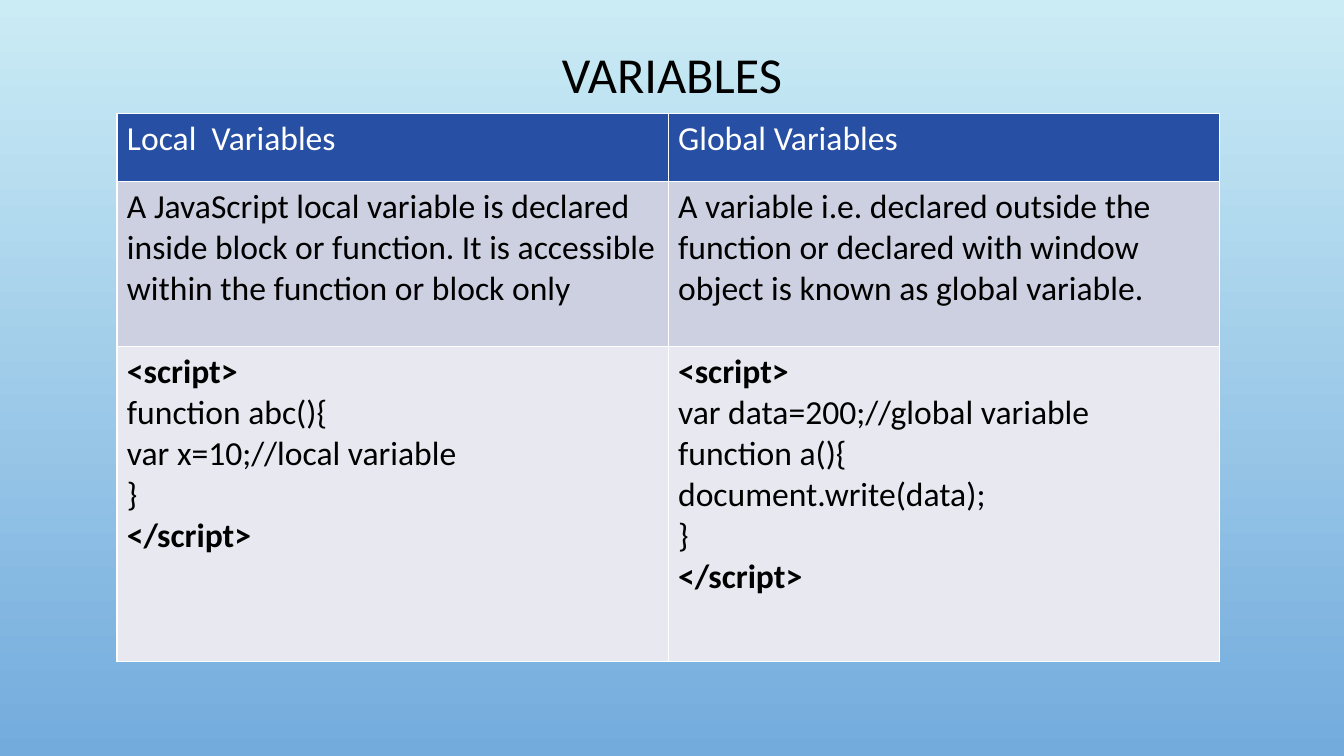
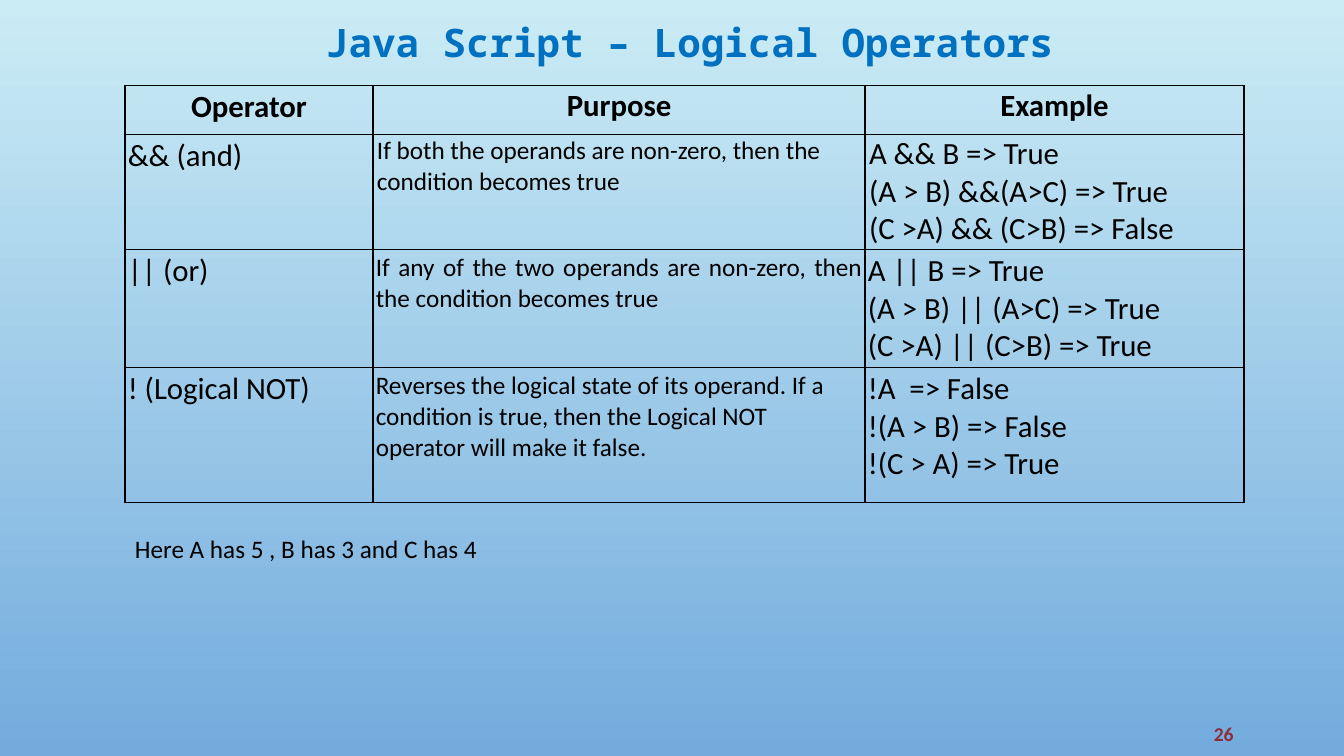
from dataclasses import dataclass, replace
from typing import NamedTuple, Optional

from lxml.etree import SubElement
from pptx import Presentation
from pptx.dml.color import RGBColor
from pptx.enum.text import MSO_ANCHOR as Anchor, MSO_AUTO_SIZE as AutoSize, PP_ALIGN as Align
from pptx.oxml.ns import qn
from pptx.util import Cm, Pt


class TextStyle(NamedTuple):
    size: int
    color: str = "000000"
    bold: bool = False
    font: str = "Calibri"


@dataclass(frozen=True)
class Theme:
    sky_top: str = "CBECF5"
    sky_bottom: str = "73ABDD"
    header_fill: str = "274FA4"
    dark_band: str = "CDD0E0"
    light_band: str = "E8E9F0"
    white_line: str = "FFFFFF"
    black_line: str = "000000"
    line_width: int = 1
    title: TextStyle = TextStyle(36)
    code_title: TextStyle = TextStyle(28, "0070C0", True, "Noto Sans Mono")
    header: TextStyle = TextStyle(24, "FFFFFF")
    body: TextStyle = TextStyle(24)
    operator: TextStyle = TextStyle(22)
    note: TextStyle = TextStyle(18)
    page_number: TextStyle = TextStyle(14, "8B2F3D", True)


THEME = Theme()


class Box(NamedTuple):
    """Left, top, width and height in centimetres."""
    left: float
    top: float
    width: float
    height: float

    def lengths(self) -> list:
        return [Cm(value) for value in self]


class Margins(NamedTuple):
    side: float
    end: float


STANDARD = Margins(0.25, 0.13)
EVEN = Margins(0.07, 0.07)
WIDE = Margins(0.1, 0.04)


class Line(NamedTuple):
    text: str
    style: TextStyle


@dataclass(frozen=True)
class CellContent:
    lines: list
    fill: Optional[str] = None
    align: Align = Align.LEFT
    margins: Margins = STANDARD


@dataclass(frozen=True)
class Grid:
    left: float
    top: float
    columns: list
    rows: list
    line_color: str


def styled(style: TextStyle, *texts: str) -> list:
    return [Line(text, style) for text in texts]


def write_lines(frame, lines: list, align: Align) -> None:
    for index, line in enumerate(lines):
        paragraph = frame.paragraphs[0] if index == 0 else frame.add_paragraph()
        paragraph.alignment = align
        run = paragraph.add_run()
        run.text = line.text
        run.font.name = line.style.font
        run.font.size = Pt(line.style.size)
        run.font.bold = line.style.bold
        run.font.color.rgb = RGBColor.from_string(line.style.color)


def add_slide(presentation, title: str, style: TextStyle, box: Box, spacing: float):
    """Add a title-only slide and format its title."""
    slide = presentation.slides.add_slide(presentation.slide_layouts[5])
    shape = slide.shapes.title
    shape.left, shape.top, shape.width, shape.height = box.lengths()
    frame = shape.text_frame
    frame.auto_size = AutoSize.NONE
    frame.vertical_anchor = Anchor.MIDDLE
    write_lines(frame, styled(style, title), Align.CENTER)
    frame.paragraphs[0].line_spacing = spacing
    return slide


def add_text(slide, text: str, style: TextStyle, box: Box, align: Align = Align.LEFT,
             anchor: Anchor = Anchor.TOP) -> None:
    frame = slide.shapes.add_textbox(*box.lengths()).text_frame
    frame.word_wrap = True
    frame.vertical_anchor = anchor
    write_lines(frame, styled(style, text), align)


def set_borders(cell, color: str) -> None:
    properties = cell._tc.get_or_add_tcPr()
    for side in ("a:lnL", "a:lnR", "a:lnT", "a:lnB"):
        line = SubElement(properties, qn(side), w=str(Pt(THEME.line_width)))
        SubElement(SubElement(line, qn("a:solidFill")), qn("a:srgbClr"), val=color)


def fill_cell(cell, content: CellContent, line_color: str) -> None:
    set_borders(cell, line_color)
    if content.fill:
        cell.fill.solid()
        cell.fill.fore_color.rgb = RGBColor.from_string(content.fill)
    else:
        cell.fill.background()
    cell.margin_left = cell.margin_right = Cm(content.margins.side)
    cell.margin_top = cell.margin_bottom = Cm(content.margins.end)
    write_lines(cell.text_frame, content.lines, content.align)


def add_grid(slide, grid: Grid, contents: list) -> None:
    box = Box(grid.left, grid.top, sum(grid.columns), sum(grid.rows))
    table = slide.shapes.add_table(len(grid.rows), len(grid.columns), *box.lengths()).table
    table.horz_banding = False
    for column, width in zip(table.columns, grid.columns):
        column.width = Cm(width)
    for row, height, row_contents in zip(table.rows, grid.rows, contents):
        row.height = Cm(height)
        for cell, content in zip(row.cells, row_contents):
            fill_cell(cell, content, grid.line_color)


def script_lines(*statements: str) -> list:
    """Wrap the statements in bold script tags."""
    tag = THEME.body._replace(bold=True)
    return [Line("<script>", tag), *styled(THEME.body, *statements), Line("</script>", tag)]


def build_variables_slide(presentation) -> None:
    slide = add_slide(presentation, "VARIABLES", THEME.title, Box(2.33, 1.02, 29.21, 1.85), 0.9)
    headings = ["Local  Variables", "Global Variables"]
    definitions = [
        "A JavaScript local variable is declared inside block or function. "
        "It is accessible within the function or block only",
        "A variable i.e. declared outside the function or declared with window "
        "object is known as global variable.",
    ]
    scripts = [
        script_lines("function abc(){", "var x=10;//local variable", "}"),
        script_lines("var data=200;//global variable", "function a(){",
                     "document.write(data);", "}"),
    ]
    contents = [
        [CellContent(styled(THEME.header, text), THEME.header_fill) for text in headings],
        [CellContent(styled(THEME.body, text), THEME.dark_band) for text in definitions],
        [CellContent(lines, THEME.light_band) for lines in scripts],
    ]
    add_grid(slide, Grid(2.95, 2.87, [13.89] * 2, [1.7, 4.17, 7.92], THEME.white_line), contents)


def operator_row(operator: str, purpose: str, *examples: str) -> list:
    return [
        CellContent(styled(THEME.operator, operator), margins=EVEN),
        CellContent(styled(THEME.note, purpose), margins=EVEN),
        CellContent(styled(THEME.operator, *examples), margins=EVEN),
    ]


def build_operators_slide(presentation) -> None:
    slide = add_slide(presentation, "Java Script – Logical Operators", THEME.code_title,
                      Box(4.3, 0.33, 26.14, 1.45), 1.0)
    heading = THEME.operator._replace(bold=True)
    header_row = [
        CellContent(styled(heading, text), align=Align.CENTER, margins=margins)
        for text, margins in (("Operator", EVEN), ("Purpose", WIDE), ("Example", WIDE))
    ]
    and_row = operator_row(
        "&& (and)", "If both the operands are non-zero, then the condition becomes true",
        "A && B => True", "(A > B) &&(A>C) => True", "(C >A) && (C>B) => False")
    and_row[1:] = [replace(content, margins=WIDE) for content in and_row[1:]]
    or_row = operator_row(
        "|| (or)", "If any of the two operands are non-zero, then the condition becomes true",
        "A || B => True", "(A > B) || (A>C) => True", "(C >A) || (C>B) => True")
    or_row[1] = replace(or_row[1], align=Align.JUSTIFY)
    not_row = operator_row(
        "! (Logical NOT)",
        "Reverses the logical state of its operand. If a condition is true, "
        "then the Logical NOT operator will make it false.",
        "!A  => False", "!(A > B) => False", "!(C > A) => True")
    grid = Grid(3.15, 2.16, [6.25, 12.4, 9.55], [1.22, 2.91, 2.97, 3.4], THEME.black_line)
    add_grid(slide, grid, [header_row, and_row, or_row, not_row])
    add_text(slide, "Here A has 5 , B has 3 and C has 4", THEME.note,
             Box(grid.left, 13.31, 26.06, 1.02))
    add_text(slide, "26", THEME.page_number, Box(29.21, 17.98, 2.13, 1.02),
             Align.RIGHT, Anchor.MIDDLE)


def set_background(presentation) -> None:
    fill = presentation.slide_master.background.fill
    fill.gradient()
    fill.gradient_angle = 270
    for stop, color in zip(fill.gradient_stops, (THEME.sky_top, THEME.sky_bottom)):
        stop.color.rgb = RGBColor.from_string(color)


def main() -> None:
    presentation = Presentation()
    presentation.slide_width, presentation.slide_height = Cm(33.87), Cm(19.05)
    set_background(presentation)
    build_variables_slide(presentation)
    build_operators_slide(presentation)
    presentation.save("out.pptx")


if __name__ == "__main__":
    main()
